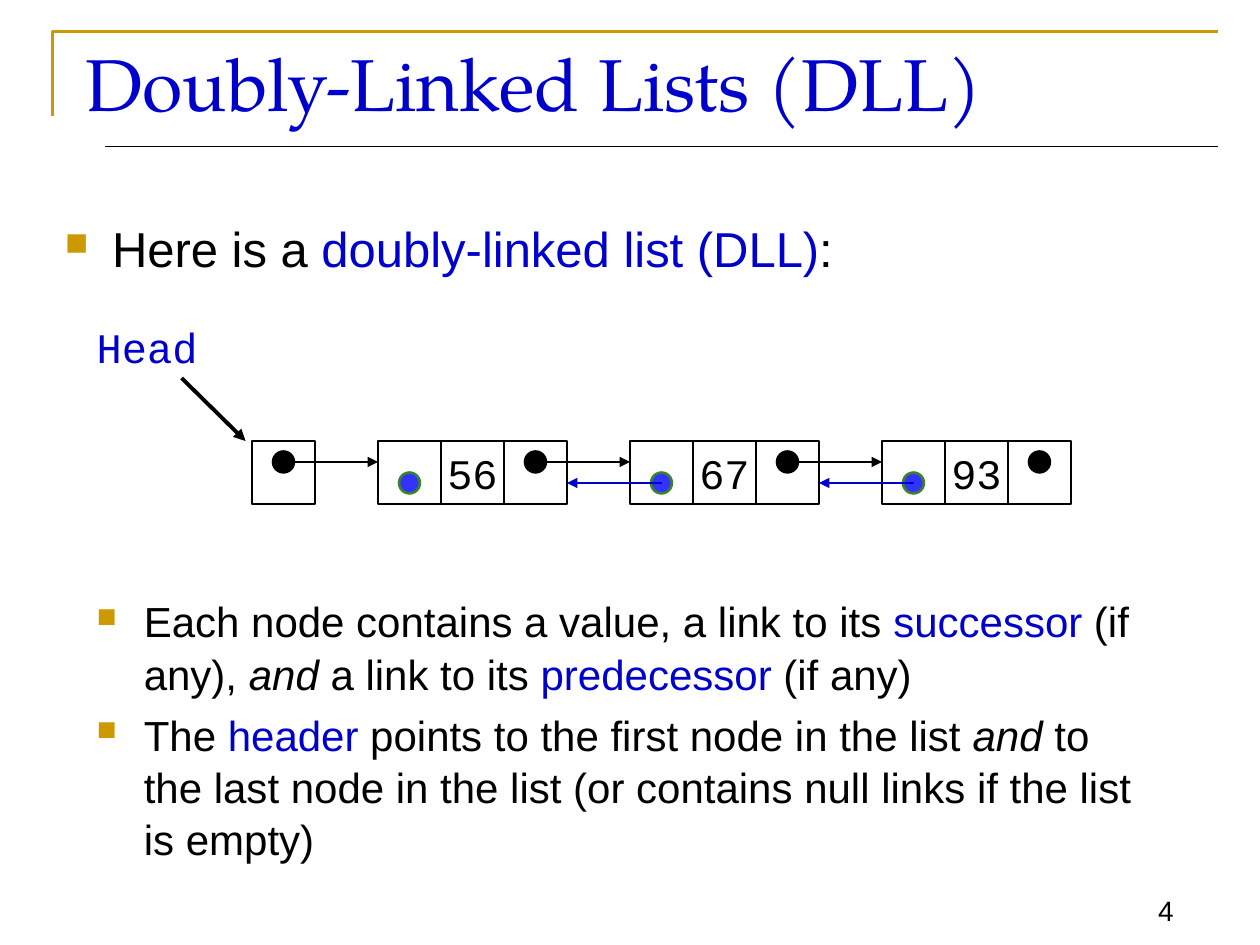
"""Slide on doubly-linked lists: a node diagram with explanatory bullets."""
from lxml import etree
from pptx import Presentation, util as u
from pptx.dml.color import RGBColor
from pptx.enum import shapes, text
from pptx.oxml.ns import qn

BLACK = RGBColor(0, 0, 0)
BLUE = RGBColor(0x00, 0x00, 0xCC)
GOLD = RGBColor(0xCC, 0x99, 0x00)
DOT_BLUE = RGBColor(0x33, 0x33, 0xFF)
GREEN = RGBColor(0x3B, 0x81, 0x2F)
CELL, DOT = 1.27, 0.42
ROW = 8.89
NEXT_Y, PREV_Y = ROW + CELL / 3, ROW + CELL * 2 / 3

prs = Presentation()
prs.slide_width, prs.slide_height = u.Cm(25.4), u.Cm(19.05)
s = prs.slides.add_slide(prs.slide_layouts[6])


def add_text(box, paragraphs, size, font="Arial", bullet=False, **frame):
    tf = s.shapes.add_textbox(*map(u.Cm, box)).text_frame
    for name, value in {"word_wrap": True, **frame}.items():
        setattr(tf, name, value)
    for i, runs in enumerate(paragraphs):
        p = tf.add_paragraph() if i else tf.paragraphs[0]
        if bullet:
            p.space_after = u.Pt(size * 0.2)
            p.line_spacing = 1.04
            pPr = p._p.get_or_add_pPr()
            pPr.set("marL", str(u.Cm(0.95)))
            pPr.set("indent", str(u.Cm(-0.95)))
            color = etree.SubElement(pPr, qn("a:buClr"))
            etree.SubElement(color, qn("a:srgbClr"), val=str(GOLD))
            etree.SubElement(pPr, qn("a:buSzPct"), val="65000")
            etree.SubElement(pPr, qn("a:buChar"), char="■")
        for words, color, italic in runs:
            r = p.add_run()
            r.text = words
            r.font.color.rgb = color
            for name, value in {"size": u.Pt(size), "name": font, "italic": italic}.items():
                setattr(r.font, name, value)
    return tf


def add_line(x1, y1, x2, y2, color, width, arrow=True):
    c = s.shapes.add_connector(shapes.MSO_CONNECTOR.STRAIGHT, *map(u.Cm, (x1, y1, x2, y2)))
    c.line.color.rgb = color
    c.line.width = u.Pt(width)
    if arrow:
        etree.SubElement(c.line._get_or_add_ln(), qn("a:tailEnd"), type="triangle")
    etree.SubElement(c._element.spPr, qn("a:effectLst"))


fb = s.shapes.build_freeform(u.Cm(1.06), u.Cm(2.33))
fb.add_line_segments([(u.Cm(1.06), u.Cm(0.64)), (u.Cm(24.55), u.Cm(0.64))], close=False)
frame = fb.convert_to_shape()
frame.shadow.inherit = False
frame.fill.background()
frame.line.color.rgb = GOLD
frame.line.width = u.Pt(1.5)
add_line(2.12, 2.96, 24.55, 2.96, BLACK, 0.75, arrow=False)

number = add_text((22.23, 17.57, 1.68, 1.24), [[("4", BLACK, False)]], 16,
                  vertical_anchor=text.MSO_ANCHOR.BOTTOM)
number.paragraphs[0].alignment = text.PP_ALIGN.RIGHT
add_text((1.48, 0.64, 23.07, 2.12), [[("Doubly-Linked Lists (DLL)", BLUE, False)]],
         42, "TeX Gyre Pagella")
add_text((1.06, 4.23, 23.81, 1.95), [[
    ("Here is a ", BLACK, False), ("doubly-linked list (DLL)", BLUE, False),
    (":", BLACK, False)]], 28, bullet=True)
add_text((1.7, 11.85, 21.59, 6.56), [
    [("Each node contains a value, a link to its ", BLACK, False),
     ("successor", BLUE, False), (" (if any), ", BLACK, False), ("and", BLACK, True),
     (" a link to its ", BLACK, False), ("predecessor", BLUE, False),
     (" (if any)", BLACK, False)],
    [("The ", BLACK, False), ("header", BLUE, False),
     (" points to the first node in the list ", BLACK, False), ("and", BLACK, True),
     (" to the last node in the list (or contains null links if the list is empty)",
      BLACK, False)]], 24, bullet=True)

add_text((1.7, 6.35, 3.6, 1.3), [[("Head", BLUE, False)]], 24, "Courier New")
add_line(3.66, 7.62, 4.95, 8.89, BLACK, 2.25)

nodes = [(3 + 2 * i) * 2 * CELL - i * 2 * CELL * 0 for i in range(0)]
nodes = [(6 + 4 * i) * CELL for i in range(3)]
header = 4 * CELL
cells = [(header, "")]
for node, value in zip(nodes, ("56", "67", "93")):
    cells += [(node, ""), (node + CELL, value), (node + 2 * CELL, "")]
next_cells = [header] + [node + 2 * CELL for node in nodes]

for x, value in cells:
    sp = s.shapes.add_shape(shapes.MSO_SHAPE.RECTANGLE, *map(u.Cm, (x, ROW, CELL, CELL)))
    sp.shadow.inherit = False
    sp.fill.background()
    sp.line.color.rgb = BLACK
    sp.line.width = u.Pt(1.5)
    if value:
        tf = sp.text_frame
        tf.word_wrap = False
        p = tf.paragraphs[0]
        p.alignment = text.PP_ALIGN.CENTER
        r = p.add_run()
        r.text = value
        r.font.color.rgb = BLACK
        for name, setting in {"size": u.Pt(24), "name": "Courier New"}.items():
            setattr(r.font, name, setting)

dots = [(x, NEXT_Y, BLACK, BLACK) for x in next_cells]
dots += [(x, PREV_Y, DOT_BLUE, GREEN) for x in nodes]
for x, y, fill, outline in dots:
    sp = s.shapes.add_shape(shapes.MSO_SHAPE.OVAL, *map(
        u.Cm, (x + (CELL - DOT) / 2, y - DOT / 2, DOT, DOT)))
    sp.shadow.inherit = False
    sp.fill.solid()
    sp.fill.fore_color.rgb = fill
    sp.line.color.rgb = outline
    sp.line.width = u.Pt(1.5)

for x, node in zip(next_cells, nodes):
    add_line(x + CELL / 2, NEXT_Y, node, NEXT_Y, BLACK, 1.5)
for node in nodes[1:]:
    add_line(node + CELL / 2, PREV_Y, node - CELL, PREV_Y, BLUE, 1.5)

prs.save("out.pptx")
